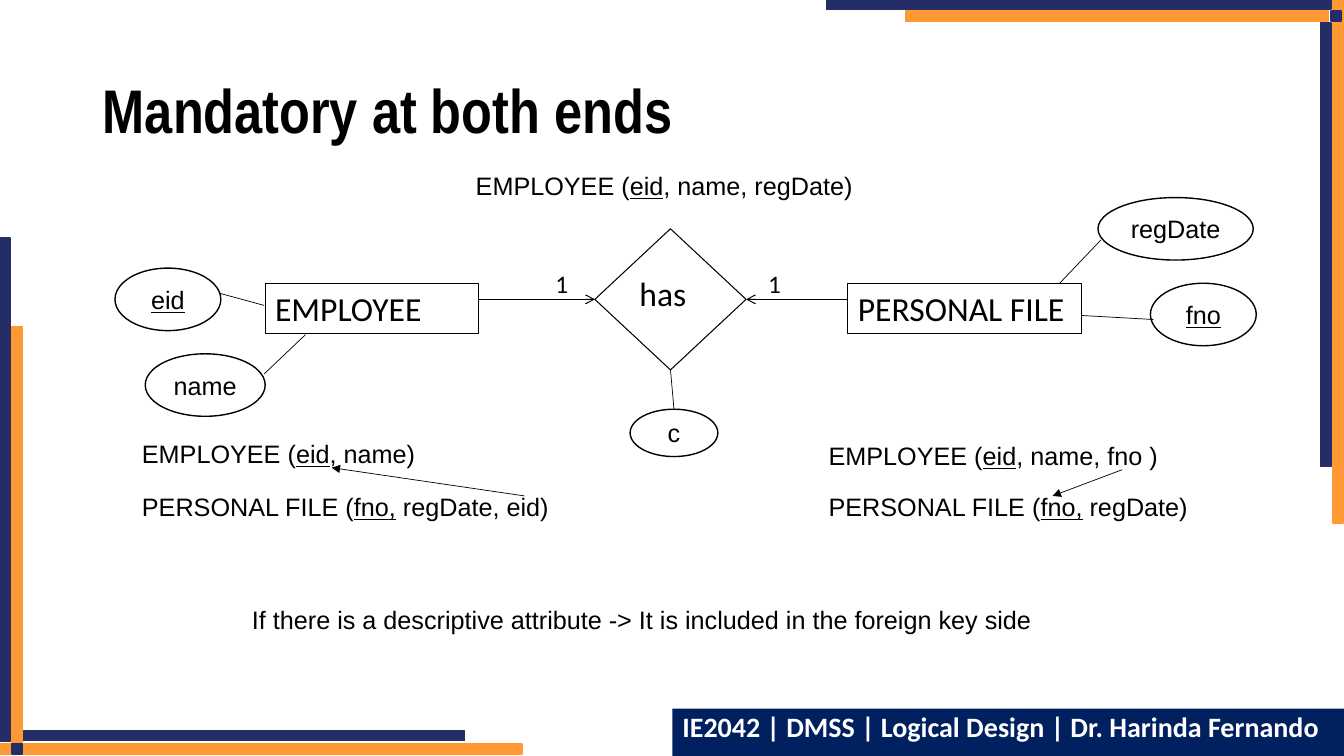
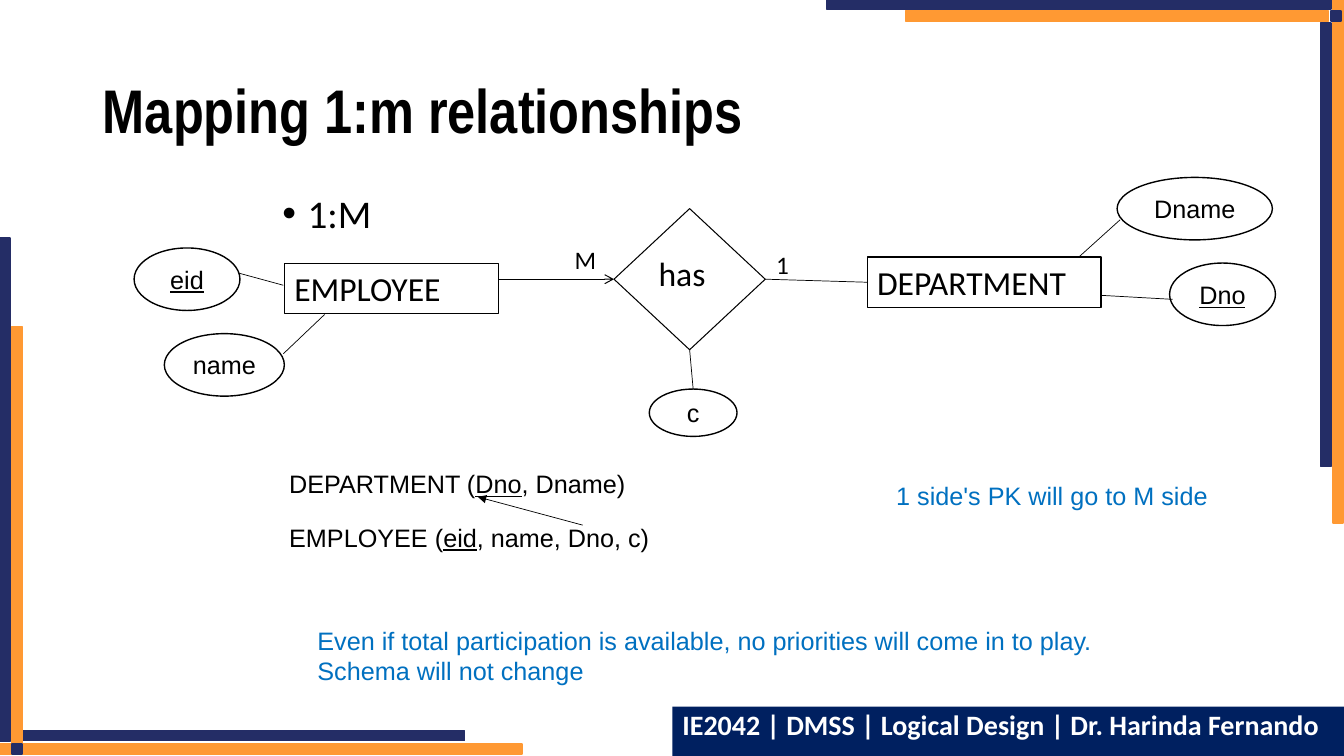
"""Build two slides on mapping entity relationships to relational schemas."""
from lxml import etree
from pptx import Presentation
from pptx import util as u
from pptx.dml.color import RGBColor
from pptx.enum import shapes, text
from pptx.oxml import ns

NAVY = RGBColor(0x24, 0x2D, 0x66)
ORANGE = RGBColor(0xFF, 0x99, 0x33)
FOOTER_BLUE = RGBColor(0x00, 0x20, 0x60)
NOTE_BLUE = RGBColor(0x00, 0x70, 0xC0)
BLACK = RGBColor(0, 0, 0)
WHITE = RGBColor(0xFF, 0xFF, 0xFF)

FOOTER_TEXT = "IE2042 | DMSS | Logical Design | Dr. Harinda Fernando"
LEFT, RIGHT, TOP, BOTTOM = 1, 3, 0, 2
BANDS = [
    (13.22, -0.01, 0.1, 5.2, ORANGE),
    (13.1, 0.23, 0.1, 4.4, NAVY),
    (8.2, -0.01, 5, 0.1, NAVY),
    (8.98, 0.11, 4.2, 0.1, ORANGE),
    (13.2, 0.11, 0.1, 0.1, NAVY),
    (-0.02, 7.38, 5.2, 0.1, ORANGE),
    (0.21, 7.25, 4.4, 0.1, NAVY),
    (0, 2.36, 0.1, 5, NAVY),
    (0.12, 3.24, 0.1, 4.2, ORANGE),
    (0.12, 7.38, 0.1, 0.1, NAVY),
]


def inches(*lengths):
    """Convert numbers to lengths in inches."""
    return [u.Inches(length) for length in lengths]


def add_run(paragraph, content, size, font="Arial", color=BLACK, bold=False, underline=False):
    """Add one formatted run to a paragraph."""
    run = paragraph.add_run()
    run.text = content
    run.font.name = font
    run.font.size = u.Pt(size)
    run.font.color.rgb = color
    run.font.bold = bold
    run.font.underline = underline


def add_box(slide, kind, at, fill, line=None, width=1):
    """Add a flat preset shape with its fill and outline."""
    shape = slide.shapes.add_shape(kind, *inches(*at))
    shape.shadow.inherit = False
    shape.fill.solid()
    shape.fill.fore_color.rgb = fill
    if line is None:
        shape.line.fill.background()
    else:
        shape.line.color.rgb = line
        shape.line.width = u.Pt(width)
    return shape


def label_shape(shape, content, size, font, align, anchor, **style):
    """Write one line of text inside a shape."""
    frame = shape.text_frame
    frame.word_wrap = False
    frame.vertical_anchor = anchor
    paragraph = frame.paragraphs[0]
    paragraph.alignment = align
    add_run(paragraph, content, size, font, **style)
    return paragraph


def add_text(slide, at, *lines, font="Arial", color=BLACK):
    """Add a text box whose lines alternate plain and underlined parts."""
    frame = slide.shapes.add_textbox(*inches(*at)).text_frame
    frame.word_wrap = True
    for index, parts in enumerate(lines):
        paragraph = frame.add_paragraph() if index else frame.paragraphs[0]
        for position, part in enumerate(parts):
            add_run(paragraph, part, 18, font, color, underline=position % 2 == 1)


def add_line(slide, start, end, width=0.5, arrow=None):
    """Add a straight connector, with an arrowhead at its end if asked."""
    connector = slide.shapes.add_connector(
        shapes.MSO_CONNECTOR.STRAIGHT, *inches(*start, *end))
    connector.line.color.rgb = BLACK
    connector.line.width = u.Pt(width)
    properties = connector.element.spPr
    if arrow:
        outline = properties.find(ns.qn("a:ln"))
        etree.SubElement(outline, ns.qn("a:tailEnd"), type=arrow)
    etree.SubElement(properties, ns.qn("a:effectLst"))
    return connector


def add_entity(slide, at, name):
    """Add an entity rectangle."""
    shape = add_box(slide, shapes.MSO_SHAPE.RECTANGLE, at, WHITE, BLACK, 0.75)
    label_shape(shape, name, 24, "Calibri", text.PP_ALIGN.LEFT, text.MSO_ANCHOR.TOP)
    return shape


def add_attribute(slide, at, name, key=False):
    """Add an attribute ellipse, underlined when it is a key."""
    shape = add_box(slide, shapes.MSO_SHAPE.OVAL, at, WHITE, BLACK)
    label_shape(shape, name, 18, "Arial", text.PP_ALIGN.CENTER,
                text.MSO_ANCHOR.MIDDLE, underline=key)
    return shape


def add_relationship(slide, at, name):
    """Add a relationship diamond."""
    shape = add_box(slide, shapes.MSO_SHAPE.DIAMOND, at, WHITE, BLACK, 0.75)
    label_shape(shape, name, 24, "Calibri", text.PP_ALIGN.CENTER, text.MSO_ANCHOR.MIDDLE)
    frame = shape.text_frame
    frame.margin_left = frame.margin_top = 0
    frame.margin_right, frame.margin_bottom = inches(0.15, 0.12)
    return shape


def add_diagram(slide, shift, right_entity, right_top, right_attributes, labels, right_arrow):
    """Draw the employee relationship diagram, moved by the given shift."""
    def at(x, y, *size):
        return (x + shift[0], y + shift[1], *size)

    has = add_relationship(slide, at(5.9, 2.27, 1.5, 1.4), "has")
    add_entity(slide, at(2.63, 2.81, 2.12, 0.5), "EMPLOYEE")
    right = add_entity(slide, at(8.41, right_top, 2.32, 0.5), right_entity)

    left_link = add_line(slide, at(4.75, 2.97), at(5.9, 2.97), 0.75, "arrow")
    left_link.end_connect(has, LEFT)
    right_link = add_line(slide, at(8.41, 2.97), at(7.4, 2.97),
                          0.75 if right_arrow else 0.5, "arrow" if right_arrow else None)
    right_link.end_connect(has, RIGHT)
    if not right_arrow:
        right_link.begin_connect(right, LEFT)
    for x, y, content in labels:
        add_text(slide, at(x, y, 0.42, 0.4), [content], font="Calibri")

    plain, key = right_attributes
    add_attribute(slide, at(10.89, 1.96, 1.54, 0.62), plain)
    add_attribute(slide, at(1.44, 3.51, 1.19, 0.62), "name")
    add_attribute(slide, at(11.41, 2.81, 1.05, 0.62), key, True)
    add_attribute(slide, at(1.14, 2.66, 1.05, 0.62), "eid", True)
    descriptive = add_attribute(slide, at(6.25, 4.06, 0.87, 0.47), "c")
    for start, end in [((2.62, 3.71), (3.03, 3.32)),
                       ((2.18, 2.91), (2.62, 3.03)),
                       ((10.92, 2.38), (10.51, right_top)),
                       ((10.73, 3.13), (11.44, 3.17))]:
        add_line(slide, at(*start), at(*end))
    descriptive_link = add_line(slide, at(6.65, 3.67), at(6.68, 4.06))
    descriptive_link.begin_connect(has, BOTTOM)
    descriptive_link.end_connect(descriptive, TOP)


def add_title(slide, content):
    """Place and format the slide title."""
    title = slide.shapes.title
    title.left, title.top, title.width, title.height = inches(0.92, 0.4, 11.5, 1.45)
    frame = title.text_frame
    frame.auto_size = text.MSO_AUTO_SIZE.NONE
    frame.vertical_anchor = text.MSO_ANCHOR.MIDDLE
    paragraph = frame.paragraphs[0]
    paragraph.alignment = text.PP_ALIGN.LEFT
    paragraph.line_spacing = 0.9
    add_run(paragraph, content, 44, "Arial Narrow", bold=True)


def add_bullet(slide, content):
    """Place the body placeholder and write its bullet."""
    body = slide.placeholders[1]
    body.left, body.top, body.width, body.height = inches(2.7, 1.88, 8.36, 4.89)
    body.text_frame.auto_size = text.MSO_AUTO_SIZE.NONE
    paragraph = body.text_frame.paragraphs[0]
    paragraph.line_spacing = 0.9
    properties = paragraph.element.get_or_add_pPr() if hasattr(paragraph, "element") \
        else paragraph._p.get_or_add_pPr()
    properties.set("marL", str(u.Inches(0.25)))
    properties.set("indent", str(-u.Inches(0.25)))
    etree.SubElement(properties, ns.qn("a:buFont"), typeface="Arial")
    etree.SubElement(properties, ns.qn("a:buChar"), char="•")
    add_run(paragraph, content, 28, "Calibri")


def add_footer(slide, top):
    """Add the course strip at the lower right."""
    strip = add_box(slide, shapes.MSO_SHAPE.RECTANGLE, (6.67, top, 6.66, 7.5 - top), FOOTER_BLUE)
    paragraph = label_shape(strip, FOOTER_TEXT, 20, "Calibri", text.PP_ALIGN.LEFT,
                            text.MSO_ANCHOR.TOP, color=WHITE, bold=True)
    paragraph.line_spacing = 0.9


def add_frame(presentation, slide):
    """Draw the corner bands and move them to the slide master."""
    tree = presentation.slide_master.shapes.element
    for number, (*at, color) in enumerate(BANDS, start=101):
        band = add_box(slide, shapes.MSO_SHAPE.RECTANGLE, at, color, color)
        band.element.nvSpPr.cNvPr.set("id", str(number))
        tree.append(band.element)


def build_mandatory(slide):
    """Fill the slide on mandatory participation at both ends."""
    add_title(slide, "Mandatory at both ends")
    add_diagram(slide, (0, 0), "PERSONAL FILE", 2.81, ("regDate", "fno"),
                [(5.41, 2.61, "1"), (7.52, 2.61, "1")], True)
    add_text(slide, (4.62, 1.64, 4.11, 0.4), ["EMPLOYEE (", "eid", ", name, regDate)"])
    add_text(slide, (1.31, 4.3, 3, 0.4), ["EMPLOYEE (", "eid", ", name)"])
    add_text(slide, (1.31, 4.83, 5.27, 0.4), ["PERSONAL FILE (", "fno,", " regDate, eid)"])
    add_line(slide, (5.2, 4.92), (3.29, 4.64), arrow="triangle")
    add_text(slide, (8.12, 4.32, 4.23, 0.4), ["EMPLOYEE (", "eid", ", name, fno )"])
    add_text(slide, (8.12, 4.83, 4.58, 0.4), ["PERSONAL FILE (", "fno,", " regDate)"])
    add_line(slide, (11.13, 4.66), (10.44, 4.92), arrow="triangle")
    add_text(slide, (2.4, 5.95, 8.01, 0.4),
             ["If there is a descriptive attribute -> It is included in the foreign key side"])
    add_footer(slide, 7.03)


def build_one_to_many(slide):
    """Fill the slide on one-to-many relationships."""
    add_title(slide, "Mapping 1:m relationships")
    add_bullet(slide, "1:M")
    add_diagram(slide, (0.19, -0.2), "DEPARTMENT", 2.75, ("Dname", "Dno"),
                [(5.41, 2.57, "M"), (7.41, 2.62, "1")], False)
    add_text(slide, (2.77, 4.6, 4.72, 0.4), ["DEPARTMENT (", "Dno", ", Dname)"])
    add_text(slide, (2.77, 5.13, 5.27, 0.4), ["EMPLOYEE (", "eid", ", name, Dno, c)"])
    add_line(slide, (5.78, 5.21), (4.74, 4.93), arrow="triangle")
    add_text(slide, (8.79, 4.72, 3.34, 0.4), ["1 side's PK will go to M side"], color=NOTE_BLUE)
    add_text(slide, (3.05, 6.15, 8.01, 0.71),
             ["Even if total participation is available, no priorities will come in to play."],
             ["Schema will not change"], color=NOTE_BLUE)
    add_footer(slide, 7.01)


def main():
    """Build and save the presentation."""
    presentation = Presentation()
    presentation.slide_width, presentation.slide_height = inches(13.33, 7.5)
    title_and_content, title_only = (presentation.slide_layouts[index] for index in (1, 5))
    mandatory = presentation.slides.add_slide(title_only)
    add_frame(presentation, mandatory)
    build_mandatory(mandatory)
    build_one_to_many(presentation.slides.add_slide(title_and_content))
    presentation.save("out.pptx")


if __name__ == "__main__":
    main()
